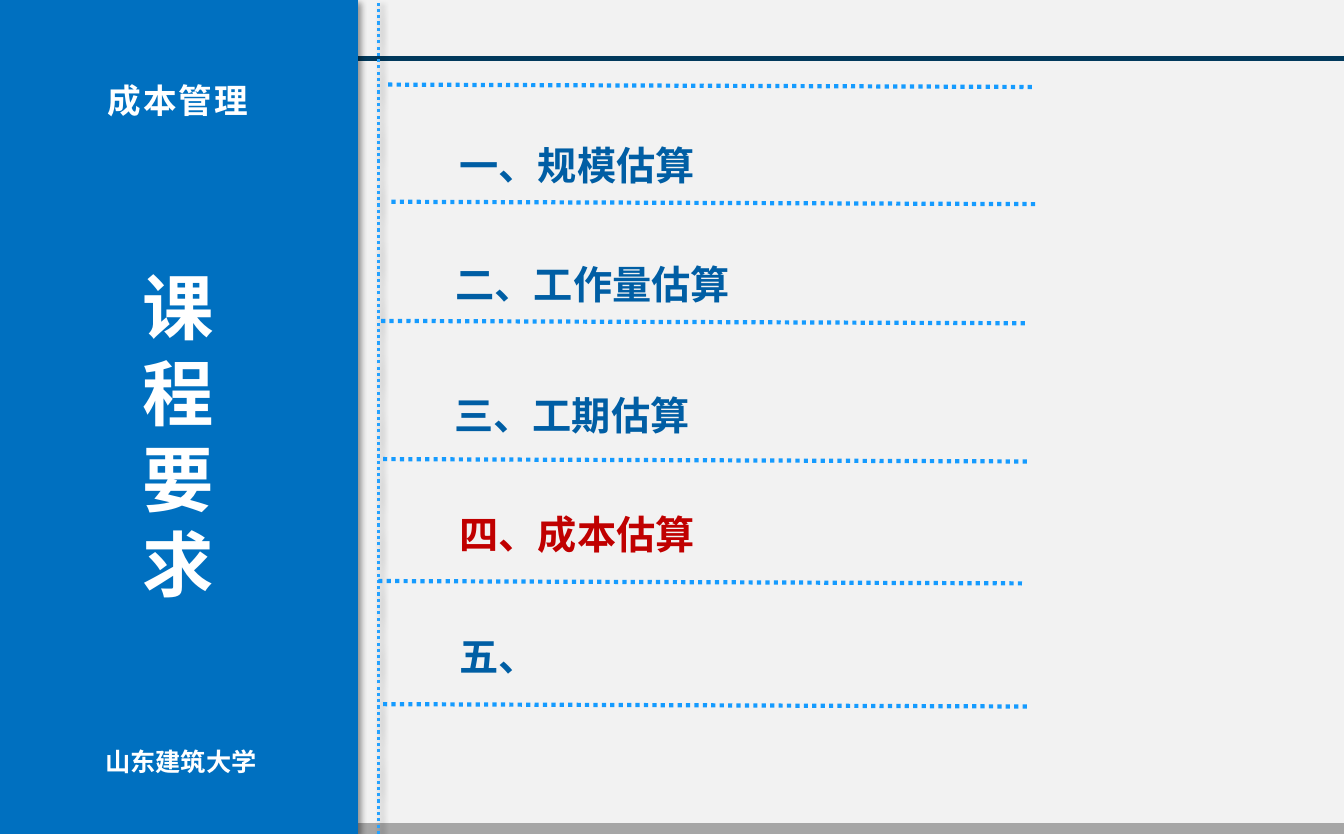
"""Builds the course requirements agenda slide of the cost management chapter."""
from typing import NamedTuple

from lxml import etree
from pptx import Presentation
from pptx.dml.color import RGBColor
from pptx.enum.dml import MSO_LINE
from pptx.enum.shapes import MSO_CONNECTOR, MSO_SHAPE
from pptx.enum.text import MSO_ANCHOR, MSO_AUTO_SIZE, PP_ALIGN
from pptx.oxml import parse_xml
from pptx.oxml.ns import nsdecls, qn
from pptx.slide import Slide
from pptx.text.text import TextFrame
from pptx.util import Cm, Pt

WIDTH, HEIGHT = 33.86, 21.0
PANEL_WIDTH = 9.02
NOTO = "Noto Sans CJK SC"
BLUE, RED, WHITE = "005EA4", "C00000", "FFFFFF"
RULE_LENGTH, RULE_DROP = 16.26, 0.06
SHADOW = (
    '<a:outerShdw blurRad="50800" dist="38100" dir="2700000" algn="tl" rotWithShape="0">'
    '<a:srgbClr val="000000"><a:alpha val="40000"/></a:srgbClr></a:outerShdw>'
)


class Box(NamedTuple):
    left: float
    top: float
    width: float
    height: float


class Style(NamedTuple):
    size: float
    font: str = NOTO
    color: str = WHITE
    align: PP_ALIGN = PP_ALIGN.CENTER
    spacing: float = 1.0
    tracking: int = 0


class Topic(NamedTuple):
    text: str
    left: float
    top: float
    color: str = BLUE


class Rule(NamedTuple):
    left: float
    top: float


TOPICS = [
    Topic("一、规模估算", 11.25, 2.79),
    Topic("二、工作量估算", 11.15, 5.79),
    Topic("三、工期估算", 11.12, 9.09),
    Topic("四、成本估算", 11.25, 12.07, RED),
    Topic("五、", 11.25, 15.14),
]
RULES = [
    Rule(9.78, 2.13), Rule(9.86, 5.08), Rule(9.6, 8.08),
    Rule(9.65, 11.56), Rule(9.53, 14.63), Rule(9.65, 17.73),
]


def rgb(color: str) -> RGBColor:
    return RGBColor.from_string(color)


def set_effect(sp, shadow: bool) -> None:
    effect = SHADOW if shadow else ""
    sp._element.spPr.append(
        parse_xml(f'<a:effectLst {nsdecls("a")}>{effect}</a:effectLst>'))


def add_block(slide: Slide, box: Box, color: str, shadow: bool = False) -> None:
    sp = slide.shapes.add_shape(MSO_SHAPE.RECTANGLE, *map(Cm, box))
    sp.fill.solid()
    sp.fill.fore_color.rgb = rgb(color)
    if shadow:
        sp.line.fill.background()
    else:
        sp.line.color.rgb = rgb(color)
        sp.line.width = Pt(1)
    set_effect(sp, shadow)


def add_dotted_line(slide: Slide, start: tuple[float, float], end: tuple[float, float],
                    color: str, width: float, shadow: bool = False) -> None:
    line = slide.shapes.add_connector(MSO_CONNECTOR.STRAIGHT, *map(Cm, start + end))
    line.line.color.rgb = rgb(color)
    line.line.width = Pt(width)
    line.line.dash_style = MSO_LINE.ROUND_DOT
    set_effect(line, shadow)


def write(tf: TextFrame, text: str, style: Style) -> None:
    tf.text = text
    tf.vertical_anchor = MSO_ANCHOR.TOP
    for p in tf.paragraphs:
        p.alignment = style.align
        p.line_spacing = style.spacing
        for r in p.runs:
            r.font.size = Pt(style.size)
            r.font.bold = True
            r.font.color.rgb = rgb(style.color)
            r.font.name = style.font
            r_pr = r.font._element
            etree.SubElement(r_pr, qn("a:ea"), typeface=style.font)
            if style.tracking:
                r_pr.set("spc", str(style.tracking))


def add_label(slide: Slide, box: Box, text: str, style: Style) -> None:
    tf = slide.shapes.add_textbox(*map(Cm, box)).text_frame
    tf.word_wrap = True
    write(tf, text, style)


def add_topic(slide: Slide, topic: Topic) -> None:
    width = 0.68 + 0.99 * len(topic.text)
    tf = slide.shapes.add_textbox(
        Cm(topic.left), Cm(topic.top), Cm(width), Cm(1.93)).text_frame
    tf.word_wrap = False
    tf.margin_left = tf.margin_right = Cm(0.33)
    tf.margin_top = tf.margin_bottom = Cm(0.18)
    write(tf, topic.text, Style(28, color=topic.color, align=PP_ALIGN.LEFT, spacing=1.5))


def place_title(slide: Slide, box: Box, text: str, style: Style) -> None:
    title = slide.shapes.title
    title.left, title.top, title.width, title.height = map(Cm, box)
    title.text_frame.auto_size = MSO_AUTO_SIZE.NONE
    write(title.text_frame, text, style)
    slide.shapes._spTree.append(title._element)


def main() -> None:
    prs = Presentation()
    prs.slide_width, prs.slide_height = Cm(WIDTH), Cm(HEIGHT)
    slide = prs.slides.add_slide(prs.slide_layouts[5])
    slide.background.fill.solid()
    slide.background.fill.fore_color.rgb = rgb("F2F2F2")

    add_block(slide, Box(0, 20.73, WIDTH, 0.25), "A6A6A6")
    add_block(slide, Box(0, 1.42, WIDTH, 0.1), "01395C")
    add_dotted_line(slide, (9.53, HEIGHT), (9.53, 0), "25A2FF", 2.25, shadow=True)
    add_block(slide, Box(0, 0, PANEL_WIDTH, HEIGHT), "0070C0", shadow=True)

    place_title(slide, Box(1.19, 6.5, 6.6, 8.97), "课\n程\n要\n求", Style(51, "Calibri"))
    add_label(slide, Box(-0.28, 1.68, 9.53, 1.4), "成本管理",
              Style(24, spacing=1.2, tracking=140))
    add_label(slide, Box(0.46, 18.67, 8.2, 1.02), "山东建筑大学",
              Style(18, "Noto Sans CJK JP"))

    for rule in RULES:
        end = (rule.left + RULE_LENGTH, rule.top + RULE_DROP)
        add_dotted_line(slide, (rule.left, rule.top), end, "159BFF", 3)
    for topic in TOPICS:
        add_topic(slide, topic)

    prs.save("out.pptx")


if __name__ == "__main__":
    main()
